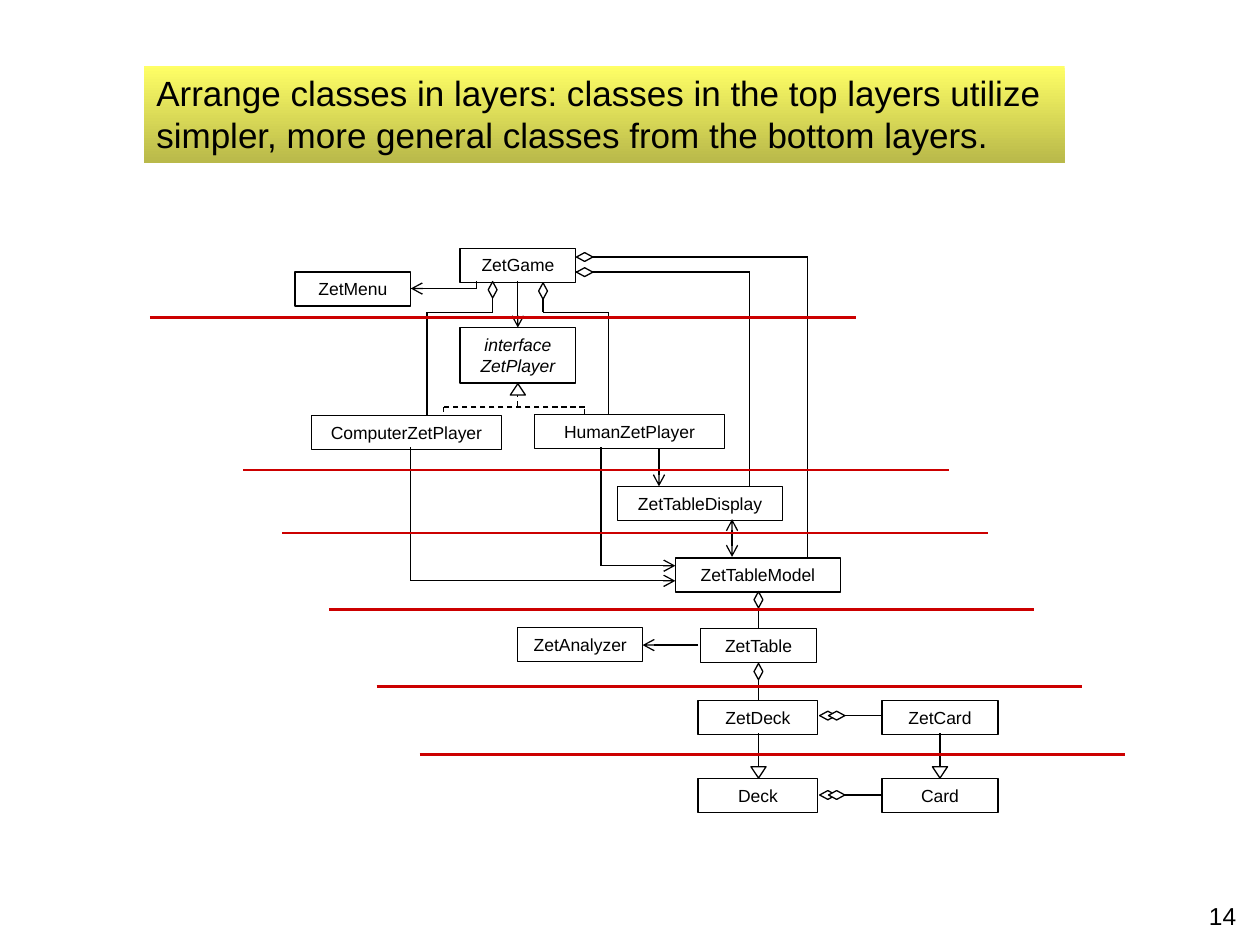
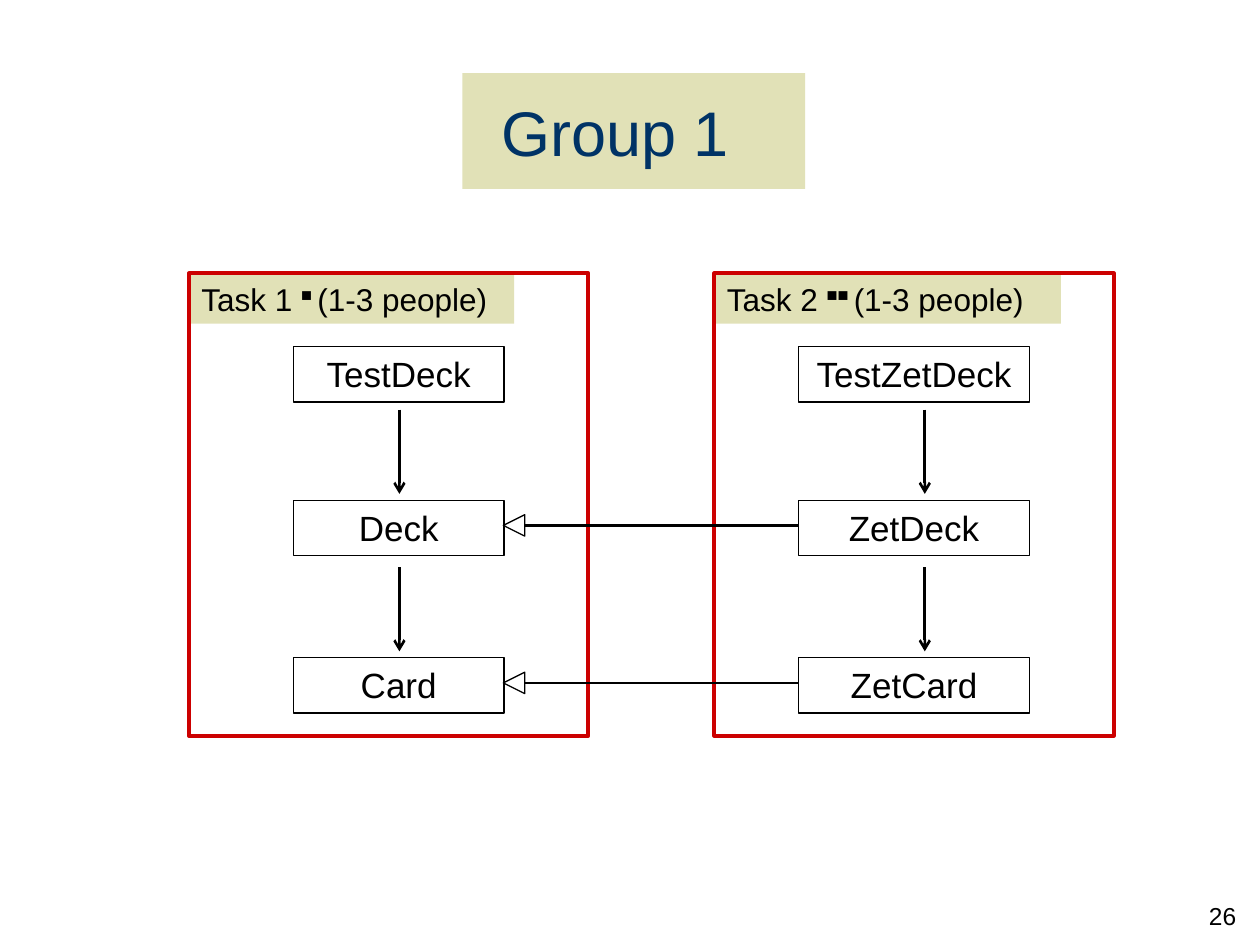
from dataclasses import dataclass
from itertools import pairwise

from lxml.etree import SubElement
from pptx import Presentation
from pptx.dml.color import RGBColor
from pptx.enum.dml import MSO_LINE
from pptx.enum.shapes import MSO_CONNECTOR as Connector, MSO_SHAPE as Shape
from pptx.enum.text import MSO_ANCHOR as Anchor, MSO_AUTO_SIZE as AutoSize, PP_ALIGN as Align
from pptx.oxml.ns import qn
from pptx.util import Inches, Pt

FONT = "Arial"
BLACK, WHITE, RED = "000000", "FFFFFF", "CC0000"
NAVY, SAGE = "003366", "E1E1B7"
YELLOW, OLIVE = "FFFF66", "B9B94A"
TITLE_ONLY = 5


@dataclass
class Box:
    left: float
    top: float
    width: float
    height: float

    def inner(self, left, top, width, height):
        return Box(self.left + left, self.top + top, width, height)

    def point(self, x, y):
        return self.left + x, self.top + y

    def lengths(self):
        return [Inches(value) for value in (self.left, self.top, self.width, self.height)]


def color(hex_string):
    return RGBColor.from_string(hex_string)


def write(text_frame, paragraphs, size, align=Align.LEFT, text_color=BLACK, anchor=Anchor.TOP):
    text_frame.word_wrap = True
    text_frame.auto_size = AutoSize.NONE
    text_frame.vertical_anchor = anchor
    for index, runs in enumerate(paragraphs):
        paragraph = text_frame.paragraphs[0] if index == 0 else text_frame.add_paragraph()
        paragraph.alignment = align
        for text in runs:
            run = paragraph.add_run()
            run.text = text
            run.font.name = FONT
            run.font.size = Pt(size)
            run.font.color.rgb = color(text_color)


def add_preset(shapes, preset, box, fill=None, line=BLACK, line_width=0.75, rotation=0):
    shape = shapes.add_shape(preset, *box.lengths())
    shape.shadow.inherit = False
    shape.rotation = rotation
    if fill:
        shape.fill.solid()
        shape.fill.fore_color.rgb = color(fill)
    else:
        shape.fill.background()
    if line:
        shape.line.color.rgb = color(line)
        shape.line.width = Pt(line_width)
    else:
        shape.line.fill.background()
    return shape


def add_symbol(shapes, preset, center, width, height, rotation=0):
    x, y = center
    box = Box(x - width / 2, y - height / 2, width, height)
    add_preset(shapes, preset, box, WHITE, rotation=rotation)


def add_class(shapes, box, lines, size, italic=False):
    shape = add_preset(shapes, Shape.RECTANGLE, box)
    write(shape.text_frame, [[line] for line in lines], size, Align.CENTER)
    if italic:
        for paragraph in shape.text_frame.paragraphs:
            for run in paragraph.runs:
                run.font.italic = True


def add_route(shapes, points, ends="", width=0.75, line_color=BLACK, dashed=False):
    segments = []
    for start, end in pairwise(points):
        connector = shapes.add_connector(
            Connector.STRAIGHT, *[Inches(value) for value in (*start, *end)])
        connector.line.color.rgb = color(line_color)
        connector.line.width = Pt(width)
        if dashed:
            connector.line.dash_style = MSO_LINE.DASH
        SubElement(connector._element.spPr, qn("a:effectLst"))
        segments.append(connector)
    if ends == "both":
        add_arrowhead(segments[0], "a:headEnd")
    if ends:
        add_arrowhead(segments[-1], "a:tailEnd")


def add_arrowhead(connector, tag):
    SubElement(connector.line._get_or_add_ln(), qn(tag), type="arrow")


def place_title(slide, box, text, size, align, text_color, anchor):
    title = slide.shapes.title
    title.left, title.top, title.width, title.height = box.lengths()
    write(title.text_frame, [[text]], size, align, text_color, anchor)
    return title


def add_page_number(slide, number):
    text_box = slide.shapes.add_textbox(*Box(7.83, 7.1, 2.08, 0.5).lengths())
    write(text_box.text_frame, [[str(number)]], 14, Align.RIGHT)


def add_slide(presentation, number):
    slide = presentation.slides.add_slide(presentation.slide_layouts[TITLE_ONLY])
    add_page_number(slide, number)
    return slide


CLASSES = [
    ("ZetGame", 2.65, 0.47, 0.92),
    ("ZetMenu", 1.34, 0.66, 0.92),
    ("ComputerZetPlayer", 1.47, 1.8, 1.51),
    ("HumanZetPlayer", 3.24, 1.79, 1.51),
    ("ZetTableDisplay", 3.9, 2.36, 1.31),
    ("ZetTableModel", 4.36, 2.93, 1.31),
    ("ZetTable", 4.56, 3.49, 0.92),
    ("ZetAnalyzer", 3.11, 3.48, 0.99),
    ("ZetDeck", 4.54, 4.06, 0.95),
    ("ZetCard", 6, 4.06, 0.92),
    ("Deck", 4.54, 4.68, 0.95),
    ("Card", 6, 4.68, 0.92),
]
USES = [
    [(2.78, 0.73), (2.78, 0.79), (2.26, 0.79)],
    [(3.11, 0.73), (3.11, 1.1)],
    [(4.23, 2.06), (4.23, 2.36)],
    [(3.77, 2.05), (3.77, 2.99), (4.36, 2.99)],
    [(2.26, 2.05), (2.26, 3.11), (4.36, 3.11)],
    [(4.54, 3.62), (4.1, 3.62)],
]
MUTUAL_USES = [[(4.81, 2.62), (4.81, 2.92)]]
OWNERSHIPS = [
    [(2.91, 0.78), (2.91, 0.98), (2.39, 0.98), (2.39, 1.79)],
    [(3.31, 0.78), (3.31, 0.98), (3.83, 0.98), (3.83, 1.79)],
    [(3.64, 0.54), (5.41, 0.54), (5.41, 2.93)],
    [(3.57, 0.66), (4.95, 0.66), (4.95, 2.36)],
    [(5.02, 3.24), (5.02, 3.49)],
    [(5.02, 3.81), (5.02, 4.06)],
    [(6, 4.18), (5.54, 4.18)],
    [(6, 4.81), (5.54, 4.81)],
]
EXTENSIONS = [[(x, 4.32), (x, 4.62)] for x in (5.02, 6.46)]
IMPLEMENTATIONS = [
    [(3.11, 1.54), (3.11, 1.73)],
    [(3.64, 1.79), (3.64, 1.73), (2.52, 1.73), (2.52, 1.79)],
]
UPRIGHT_DIAMONDS = [(2.91, 0.8), (3.31, 0.81), (5.02, 3.26), (5.02, 3.83)]
FLAT_DIAMONDS = [(3.64, 0.54), (3.64, 0.66)] + [
    (x, y) for y in (4.18, 4.81) for x in (5.57, 5.64)]
TRIANGLES = [(3.11, 1.59, 0), (5.02, 4.63, 180), (6.46, 4.63, 180)]
LAYER_STARTS = [(0.19, 1.02), (0.93, 2.23), (1.24, 2.73), (1.61, 3.34), (1.99, 3.95), (2.33, 4.49)]
LAYER_LENGTH = 5.6


def add_class_diagram(slide, area):
    shapes = slide.shapes.add_group_shape().shapes
    for name, left, top, width in CLASSES:
        add_class(shapes, area.inner(left, top, width, 0.27), [name], 10)
    add_class(shapes, area.inner(2.65, 1.1, 0.92, 0.44), ["interface", "ZetPlayer"], 10, italic=True)

    for routes, ends, dashed in [
        (USES, "end", False),
        (MUTUAL_USES, "both", False),
        (OWNERSHIPS + EXTENSIONS, "", False),
        (IMPLEMENTATIONS, "", True),
    ]:
        for route in routes:
            add_route(shapes, [area.point(*point) for point in route], ends, dashed=dashed)

    for centers, rotation in [(UPRIGHT_DIAMONDS, 0), (FLAT_DIAMONDS, 90)]:
        for center in centers:
            add_symbol(shapes, Shape.DIAMOND, area.point(*center), 0.07, 0.13, rotation)
    for x, y, rotation in TRIANGLES:
        add_symbol(shapes, Shape.ISOSCELES_TRIANGLE, area.point(x, y), 0.12, 0.09, rotation)


def add_layer_lines(slide, area):
    for x, y in LAYER_STARTS:
        ends = [area.point(x, y), area.point(x + LAYER_LENGTH, y)]
        add_route(slide.shapes, ends, width=1.5, line_color=RED)


def build_layers_slide(presentation):
    slide = add_slide(presentation, 14)
    title = place_title(
        slide, Box(1.14, 0.52, 7.31, 0.77),
        "Arrange classes in layers: classes in the top layers utilize simpler, "
        "more general classes from the bottom layers.",
        20, Align.LEFT, BLACK, Anchor.TOP)
    title.fill.gradient()
    title.fill.gradient_angle = 270
    for stop, stop_color in zip(title.fill.gradient_stops, (YELLOW, OLIVE)):
        stop.color.rgb = color(stop_color)
    area = Box(1, 1.5, 8, 5)
    add_class_diagram(slide, area)
    add_layer_lines(slide, area)


def add_task(slide, frame, label_width, label_runs, names, class_left, class_width):
    label = add_preset(
        slide.shapes, Shape.RECTANGLE, frame.inner(0, 0, label_width, 0.4), SAGE, line=None)
    write(label.text_frame, [label_runs], 18)
    marks = label.text_frame.paragraphs[0].runs[1]
    marks._r.get_or_add_rPr().set("baseline", "30000")
    add_preset(slide.shapes, Shape.RECTANGLE, frame, line=RED, line_width=2.25)

    for name, top in zip(names, (0.58, 1.8, 3.05)):
        add_class(slide.shapes, frame.inner(class_left, top, class_width, 0.44), [name], 20)
    for top in (1.08, 2.33):
        arrow = [frame.point(1.67, top), frame.point(1.67, top + 0.67)]
        add_route(slide.shapes, arrow, "end", 1.5)


def add_inheritance(slide, frame):
    for y in (2, 3.25):
        parent, child = frame.point(2.58, y), frame.point(4.83, y)
        add_route(slide.shapes, [parent, child], width=1.5)
        add_symbol(slide.shapes, Shape.ISOSCELES_TRIANGLE, parent, 0.17, 0.17, 270)


def build_group_slide(presentation):
    slide = add_slide(presentation, 26)
    title = place_title(
        slide, Box(3.67, 0.58, 2.72, 0.92), "Group 1", 36, Align.CENTER, NAVY, Anchor.MIDDLE)
    title.text_frame.margin_right = Inches(0.4)
    title.fill.solid()
    title.fill.fore_color.rgb = color(SAGE)

    first, second = (Box(left, 2.17, 3.17, 3.67) for left in (1.5, 5.67))
    add_task(slide, first, 2.58, ["Task 1 ", "■ ", "(1-3 people)"],
             ["TestDeck", "Deck", "Card"], 0.83, 1.67)
    add_task(slide, second, 2.75, ["Task 2 ", "■■ ", "(1-3 people)"],
             ["TestZetDeck", "ZetDeck", "ZetCard"], 0.67, 1.83)
    add_inheritance(slide, first)


def main():
    presentation = Presentation()
    presentation.slide_width = Inches(10)
    presentation.slide_height = Inches(7.5)
    build_layers_slide(presentation)
    build_group_slide(presentation)
    presentation.save("out.pptx")


if __name__ == "__main__":
    main()
